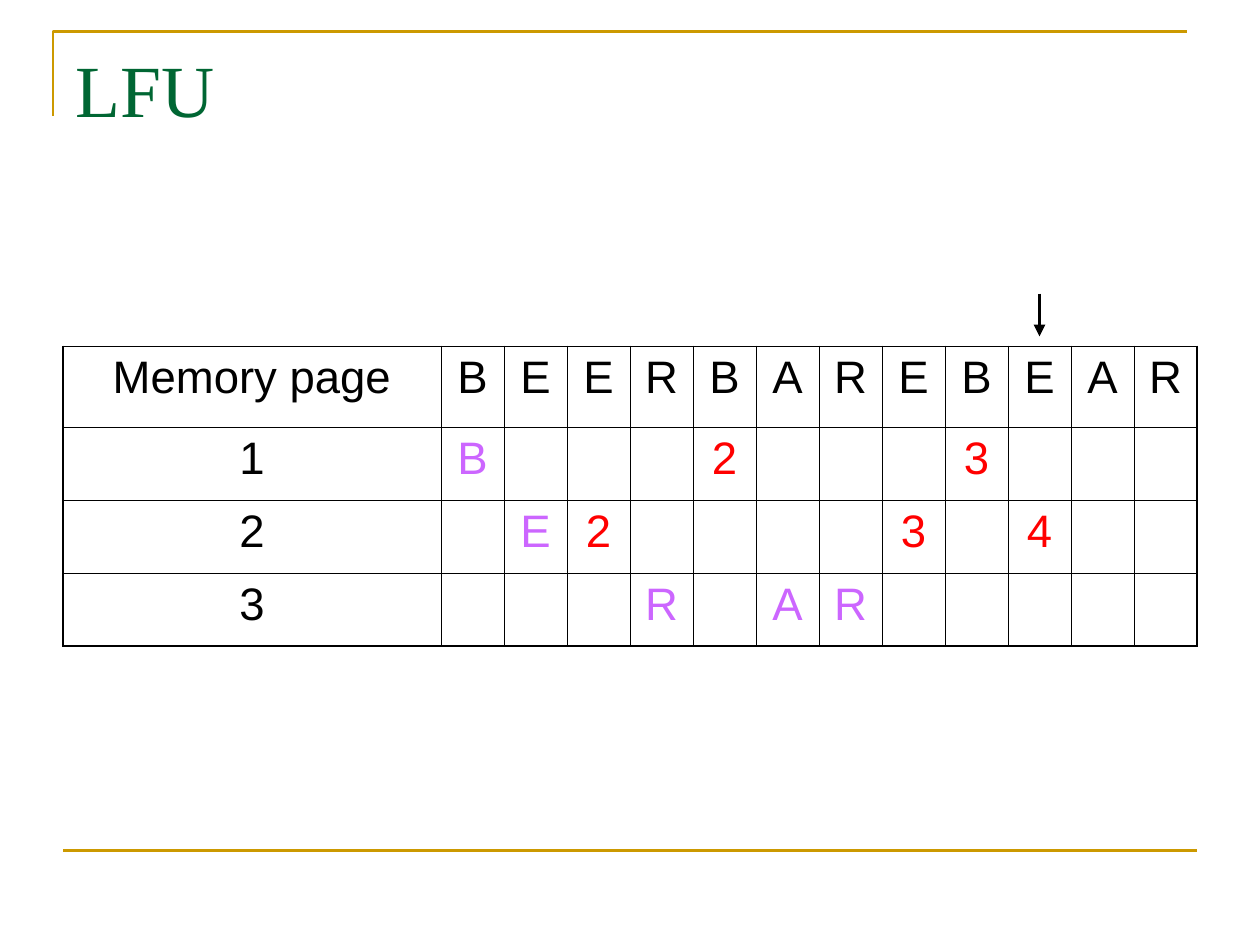
import lxml.etree
import pptx
import pptx.dml.color
import pptx.enum.shapes
import pptx.enum.text
import pptx.oxml.ns
import pptx.util

Inches = pptx.util.Inches
Pt = pptx.util.Pt
qn = pptx.oxml.ns.qn

COLORS = {
    "rule": "CC9900",
    "title": "006633",
    "ink": "000000",
    "load": "CC66FF",
    "hit": "FF0000",
}

REQUESTS = "BEERBAREBEAR"
# Request number -> what the frame shows: a loaded page or a use count
FRAMES = [
    {0: "B", 4: "2", 8: "3"},
    {1: "E", 2: "2", 7: "3", 9: "4"},
    {3: "R", 5: "A", 6: "R"},
]
CURRENT_REQUEST = 9

LEFT, TABLE_TOP, LABEL_WIDTH, STEP = 0.5, 2.75, 3, 0.5
ROW_HEIGHTS = [0.64, 0.58, 0.58, 0.58]


def rgb(name):
    return pptx.dml.color.RGBColor.from_string(COLORS[name])


def write(frame, text, font="Arial", size=26, color="ink", align="LEFT"):
    paragraph = frame.paragraphs[0]
    paragraph.text = text
    paragraph.alignment = getattr(pptx.enum.text.PP_ALIGN, align)
    paragraph.font.name = font
    paragraph.font.size = Pt(size)
    paragraph.font.color.rgb = rgb(color)


class SlideBuilder:
    thin, thick = 0.45, 1.08

    def __init__(self, slide):
        self.slide = slide

    def title(self, text):
        title = self.slide.shapes.title
        title.left, title.top = Inches(LEFT), Inches(0.3)
        title.width, title.height = Inches(9), Inches(1.25)
        title.text_frame.vertical_anchor = pptx.enum.text.MSO_ANCHOR.TOP
        write(title.text_frame, text, font="Times New Roman", size=42, color="title")

    def corner(self, points):
        start, *rest = [(Inches(x), Inches(y)) for x, y in points]
        outline = self.slide.shapes.build_freeform(*start)
        outline.add_line_segments(rest, close=False)
        corner = outline.convert_to_shape()
        corner.shadow.inherit = False
        corner.fill.background()
        corner.line.color.rgb = rgb("rule")
        corner.line.width = Pt(1.5)

    def line(self, start, end, color, width, arrow=False):
        line = self.slide.shapes.add_connector(
            pptx.enum.shapes.MSO_CONNECTOR.STRAIGHT,
            *(Inches(value) for value in (*start, *end)))
        line.line.color.rgb = rgb(color)
        line.line.width = Pt(width)
        properties = line._element.spPr
        if arrow:
            lxml.etree.SubElement(properties.find(qn("a:ln")), qn("a:tailEnd"),
                                  type="triangle")
        lxml.etree.SubElement(properties, qn("a:effectLst"))

    def borders(self, cell, widths):
        """Draw the cell edges; widths are in points, keyed L, R, T, B."""
        properties = cell._tc.get_or_add_tcPr()
        for side in "LRTB":
            edge = lxml.etree.SubElement(properties, qn("a:ln" + side),
                                         w=str(Pt(widths[side])))
            fill = lxml.etree.SubElement(edge, qn("a:solidFill"))
            lxml.etree.SubElement(fill, qn("a:srgbClr"), val=COLORS["ink"])

    def table(self, rows, heights, widths):
        table = self.slide.shapes.add_table(
            len(rows), len(widths), Inches(LEFT), Inches(TABLE_TOP),
            Inches(sum(widths)), Inches(sum(heights))).table
        table.first_row = table.horz_banding = False
        for column, width in zip(table.columns, widths):
            column.width = Inches(width)
        for row, height in zip(table.rows, heights):
            row.height = Inches(height)

        for r, row in enumerate(rows):
            for c, (text, color) in enumerate(row):
                cell = table.cell(r, c)
                outer = {"L": c == 0, "R": c == len(widths) - 1,
                         "T": r == 0, "B": r == len(rows) - 1}
                self.borders(cell, {side: self.thick if edge else self.thin
                                    for side, edge in outer.items()})
                cell.fill.background()
                if text:
                    write(cell.text_frame, text, color=color, align="CENTER")


def frame_row(number, events):
    row = [(str(number), "ink")]
    for request in range(len(REQUESTS)):
        text = events.get(request, "")
        row.append((text, "hit" if text.isdigit() else "load"))
    return row


def main():
    deck = pptx.Presentation()
    deck.slide_width, deck.slide_height = Inches(10), Inches(7.5)
    title_only = deck.slide_layouts[5]
    builder = SlideBuilder(deck.slides.add_slide(title_only))

    builder.corner([(0.42, 0.92), (0.42, 0.25), (9.42, 0.25)])
    builder.line((LEFT, 6.75), (9.5, 6.75), "rule", 1.5)
    builder.title("LFU")

    header = [(text, "ink") for text in ("Memory page", *REQUESTS)]
    frames = [frame_row(number, events) for number, events in enumerate(FRAMES, 1)]
    builder.table([header, *frames], ROW_HEIGHTS,
                  [LABEL_WIDTH] + [STEP] * len(REQUESTS))

    arrow_x = LEFT + LABEL_WIDTH + (CURRENT_REQUEST + 0.5) * STEP
    builder.line((arrow_x, 2.33), (arrow_x, 2.67), "ink", 2.25, arrow=True)
    deck.save("out.pptx")


if __name__ == "__main__":
    main()
